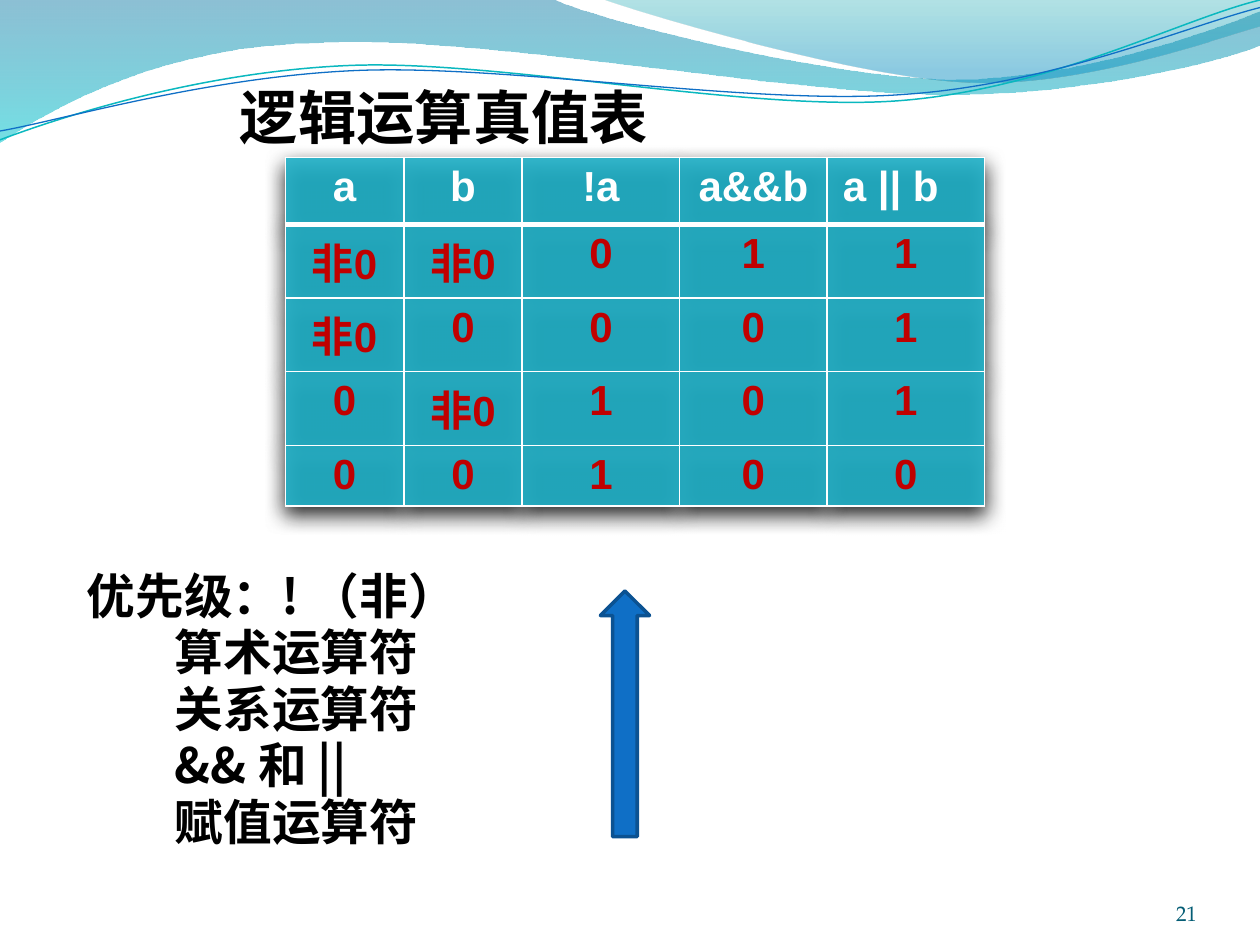
from lxml.etree import SubElement
from pptx import Presentation
from pptx.dml.color import RGBColor
from pptx.enum.shapes import MSO_SHAPE
from pptx.enum.text import MSO_ANCHOR as ANCHOR, PP_ALIGN as ALIGN
from pptx.oxml import parse_xml
from pptx.oxml.ns import nsdecls, qn
from pptx.util import Inches, Pt

COLORS = {
    "band_top": "0074A1", "band_bottom": "00C6CF",
    "crest_top": "00A1A9", "crest_bottom": "008BBF",
    "teal": "0AB8BF", "blue": "0F6FC6", "navy": "0B5292",
    "cell": "21B2C9", "value": "C00000", "page": "045D75",
    "white": "FFFFFF", "black": "000000",
}
COLUMNS, ROWS, UNIT = 100, 75, Inches(0.1)
CJK, LATIN, SERIF = "Noto Sans CJK SC", "Arial", "TeX Gyre Pagella"

BAND = [(0, 0), (44, 0),
        ((47.6, 1.7), (66.4, 6.3), (75.8, 6.3)),
        ((85.3, 6.3), (95.8, 2.6), (100, 0.9)), (100, 3.6),
        ((98.3, 4.4), (87, 7.6), (74.6, 7.5)),
        ((62.2, 7.5), (38.2, 2.8), (25.7, 3.4)),
        ((12.9, 3.6), (4.6, 8.3), (0, 11.3))]
CREST = [(47.9, 0),
         ((50.9, 1.1), (68.2, 6.2), (76.9, 6.5)),
         ((85.6, 6.9), (96.1, 3.2), (100, 2.1)), (100, 0)]
TEAL_LINE = [(0, 11.1),
             ((4.8, 9.3), (15.8, 5.7), (27.7, 5.2)),
             ((39.5, 4.7), (59.3, 8.9), (71.3, 8)),
             ((83.3, 7.1), (93.8, 1.5), (100, 0))]
BLUE_LINE = [(0, 10.4),
             ((4.7, 9.6), (16.4, 6.1), (28.3, 5.6)),
             ((40.3, 5.1), (59.7, 8.4), (71.7, 7.5)),
             ((83.6, 6.7), (94.1, 2.1), (100, 0.6))]

TRUTH_TABLE = [
    ["a", "b", "!a", "a&&b", "a || b"],
    ["非0", "非0", "0", "1", "1"],
    ["非0", "0", "0", "0", "1"],
    ["0", "非0", "1", "0", "1"],
    ["0", "0", "1", "0", "0"],
]
PRIORITIES = ["优先级：! （非）", "算术运算符", "关系运算符", "&& 和 ||", "赋值运算符"]


def grid(*cells):
    """Turn grid cells into lengths."""
    return [round(cell * UNIT) for cell in cells]


def rgb(name):
    """Look up a colour by name."""
    return RGBColor.from_string(COLORS[name])


def set_alpha(color, percent):
    """Make a colour element partly transparent."""
    SubElement(color, qn("a:alpha")).set("val", str(percent * 1000))


def add_outline(slide, outline, close):
    """Draw an outline of points and Bezier curves without shadow."""
    start, *parts = outline
    parts = [part if len(part) == 3 else (part,) for part in parts]
    builder = slide.shapes.build_freeform(*grid(*start))
    builder.add_line_segments([grid(*point) for part in parts for point in part], close=close)
    shape = builder.convert_to_shape()
    shape.shadow.inherit = False
    segments = iter(list(shape._element.iter(qn("a:lnTo"))))
    for part in parts:
        first, *others = [next(segments) for _ in part]
        if others:
            first.tag = qn("a:cubicBezTo")
        for segment in others:
            first.append(segment[0])
            segment.getparent().remove(segment)
    return shape


def add_wave(slide, outline, stops):
    """Draw a wave with a transparent gradient from top to bottom."""
    wave = add_outline(slide, outline, True)
    wave.line.fill.background()
    wave.fill.gradient()
    wave.fill.gradient_angle = 270
    for stop, (position, color, _) in zip(wave.fill.gradient_stops, stops):
        stop.position = position
        stop.color.rgb = rgb(color)
    colors = list(wave._element.spPr.iter(qn("a:srgbClr")))
    for color, (_, _, alpha) in zip(colors, stops):
        set_alpha(color, alpha)


def add_ripple(slide, outline, color, width):
    """Draw a thin curved line."""
    ripple = add_outline(slide, outline, False)
    ripple.fill.background()
    ripple.line.color.rgb = rgb(color)
    ripple.line.width = Pt(width)


def write(paragraph, text, font=CJK, size=27.8, color="black", bold=True,
          align=ALIGN.LEFT, spacing=None, before=0, indent=0):
    """Write formatted text into a paragraph."""
    paragraph.alignment = align
    paragraph.line_spacing = spacing
    if before:
        paragraph.space_before = Pt(before)
    if indent:
        properties = paragraph._p.get_or_add_pPr()
        properties.set("marL", str(grid(indent)[0]))
        properties.set("indent", "0")
    run = paragraph.add_run()
    run.text = text
    run.font.name, run.font.size, run.font.bold = font, Pt(size), bold
    run.font.color.rgb = rgb(color)
    SubElement(run._r.get_or_add_rPr(), qn("a:ea")).set("typeface", CJK)


def add_text(slide, place, lines, anchor=ANCHOR.TOP, margin=None, before=0, indent=0, **style):
    """Add a text box whose lines after the first are spaced and indented."""
    frame = slide.shapes.add_textbox(*grid(*place)).text_frame
    frame.word_wrap = True
    frame.vertical_anchor = anchor
    if margin is not None:
        frame.margin_left = frame.margin_right = margin
        frame.margin_top = frame.margin_bottom = margin
    first, *others = lines
    write(frame.paragraphs[0], first, **style)
    for line in others:
        write(frame.add_paragraph(), line, before=before, indent=indent, **style)


def set_borders(cell, bottom):
    """Give a cell white borders."""
    properties = cell._tc.get_or_add_tcPr()
    for index, (side, width) in enumerate(zip(("lnL", "lnR", "lnT", "lnB"),
                                              (1, 1, 1, bottom))):
        properties.insert(index, parse_xml(
            f'<a:{side} {nsdecls("a")} w="{Pt(width)}"><a:solidFill>'
            f'<a:srgbClr val="{COLORS["white"]}"/></a:solidFill></a:{side}>'))


def add_truth_table(slide):
    """Add the truth table with its shadow."""
    widths, heights = (9.4, 9.4, 12.5, 11.7, 12.5), (5.3, 5.85, 5.85, 5.85, 4.7)
    place = grid(22.65, 12.5, sum(widths), sum(heights))
    table = slide.shapes.add_table(len(heights), len(widths), *place).table
    table._tbl.tblPr.insert(0, parse_xml(
        f'<a:effectLst {nsdecls("a")}><a:outerShdw blurRad="{Pt(12)}" dist="{Pt(5)}" '
        f'dir="5400000" rotWithShape="0"><a:srgbClr val="{COLORS["black"]}">'
        '<a:alpha val="95000"/></a:srgbClr></a:outerShdw></a:effectLst>'))
    for column, width in zip(table.columns, grid(*widths)):
        column.width = width
    for row, height in zip(table.rows, grid(*heights)):
        row.height = height
    for r, values in enumerate(TRUTH_TABLE):
        for c, value in enumerate(values):
            cell = table.cell(r, c)
            cell.margin_bottom = Inches(0.03)
            cell.fill.solid()
            cell.fill.fore_color.rgb = rgb("cell")
            set_alpha(next(cell._tc.tcPr.iter(qn("a:srgbClr"))), 90)
            set_borders(cell, 1 if r else 3)
            shifted = (r, c) == (0, 4)
            write(cell.text_frame.paragraphs[0], value, font=LATIN, size=24,
                  color="value" if r else "white", indent=0.25 if shifted else 0,
                  align=ALIGN.LEFT if shifted else ALIGN.CENTER)


def add_priority_arrow(slide):
    """Add the arrow pointing to the highest priority."""
    arrow = slide.shapes.add_shape(MSO_SHAPE.UP_ARROW, *grid(47.65, 46.9, 3.9, 19.5))
    arrow.shadow.inherit = False
    arrow.fill.solid()
    arrow.fill.fore_color.rgb = rgb("blue")
    arrow.line.color.rgb = rgb("navy")
    arrow.line.width = Pt(2)


def main():
    """Build the slide on logical operators."""
    deck = Presentation()
    deck.slide_width, deck.slide_height = grid(COLUMNS, ROWS)
    slide = deck.slides.add_slide(deck.slide_layouts[6])
    add_wave(slide, BAND, [(0, "band_top", 45), (1, "band_bottom", 55)])
    add_wave(slide, CREST, [(0, "crest_top", 30), (0.8, "crest_bottom", 45)])
    add_ripple(slide, TEAL_LINE, "teal", 0.85)
    add_ripple(slide, BLUE_LINE, "blue", 0.75)
    add_text(slide, (18.05, 7, 50, 5), ["逻辑运算真值表"], size=33.3, spacing=0.8)
    add_text(slide, (5.9, 45.3, 40, 24), PRIORITIES, spacing=0.8, before=5.56, indent=7)
    add_text(slide, (86.7, 69.5, 8.3, 4), ["21"], anchor=ANCHOR.BOTTOM, margin=0,
             font=SERIF, size=12, color="page", bold=False, align=ALIGN.RIGHT)
    add_truth_table(slide)
    add_priority_arrow(slide)
    deck.save("out.pptx")


if __name__ == "__main__":
    main()
